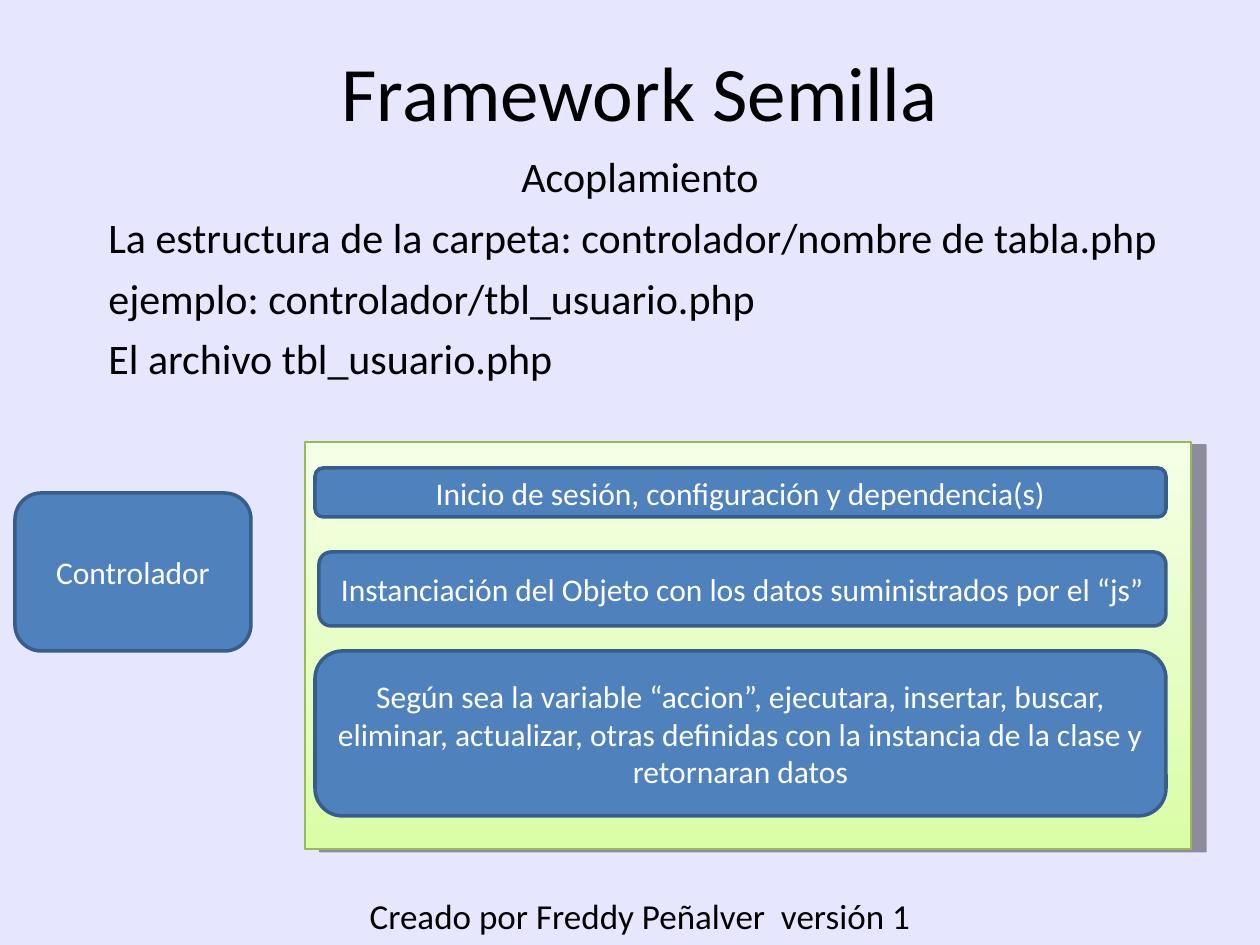
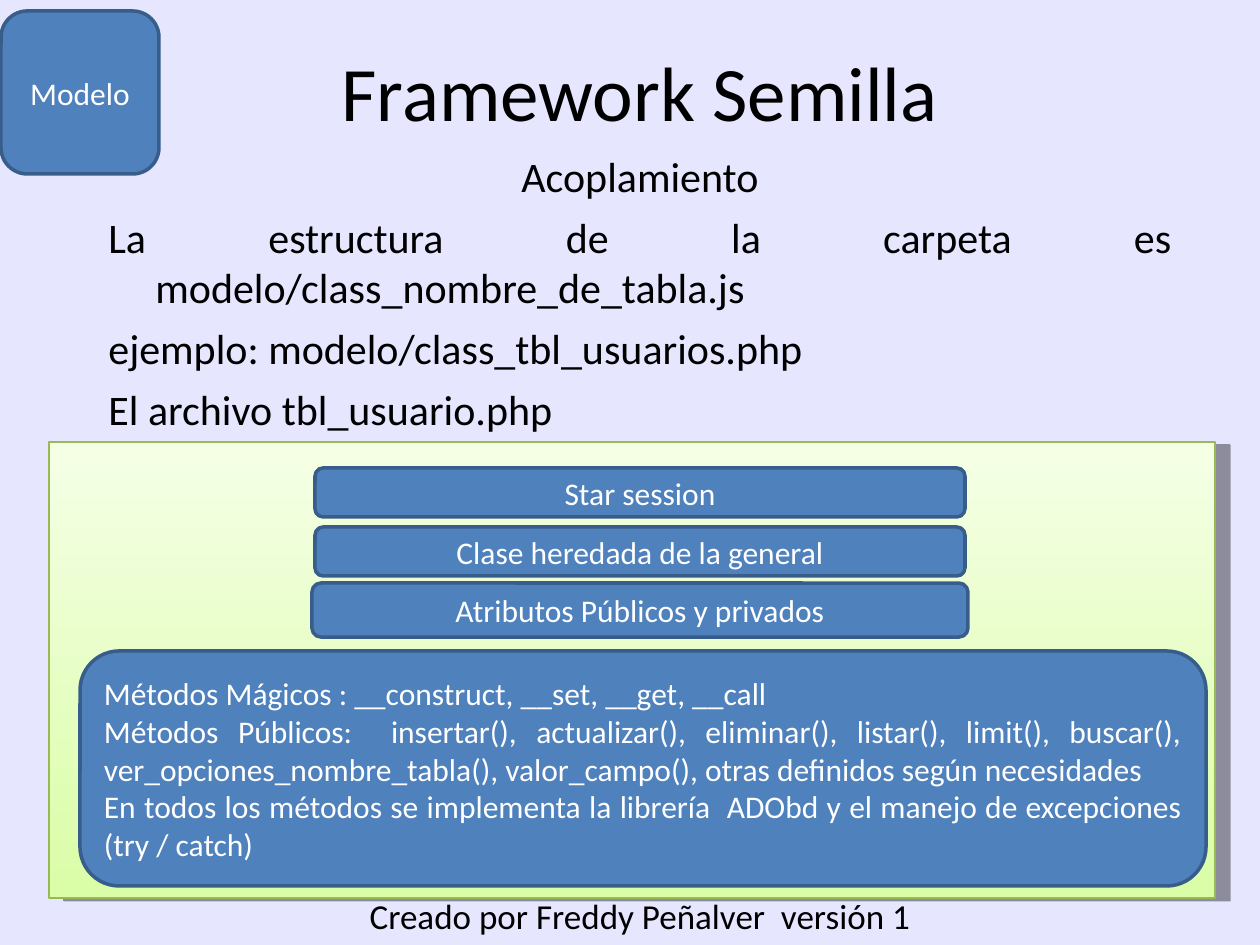
from lxml import etree
from pptx import Presentation
from pptx.dml.color import RGBColor
from pptx.enum.shapes import MSO_SHAPE
from pptx.enum.text import MSO_ANCHOR, PP_ALIGN
from pptx.oxml import parse_xml
from pptx.util import Emu, Pt

RECTANGLE = MSO_SHAPE.RECTANGLE
ROUNDED = MSO_SHAPE.ROUNDED_RECTANGLE
CENTER, JUSTIFY = PP_ALIGN.CENTER, PP_ALIGN.JUSTIFY
TOP, MIDDLE = MSO_ANCHOR.TOP, MSO_ANCHOR.MIDDLE

LAVENDER = RGBColor(0xE6, 0xE6, 0xFF)
PALE_GREEN = RGBColor(0xF5, 0xFF, 0xE6)
LIME = RGBColor(0xDA, 0xFD, 0xA7)
GREEN = RGBColor(0x98, 0xB9, 0x54)
BLUE = RGBColor(0x4F, 0x81, 0xBD)
DARK_BLUE = RGBColor(0x38, 0x5D, 0x8A)
BLACK = RGBColor(0x00, 0x00, 0x00)
WHITE = RGBColor(0xFF, 0xFF, 0xFF)

FONT = "Calibri"
PX = 914400 / 126
HANGING = 47
SHADOW = (
    '<a:outerShdw xmlns:a="http://schemas.openxmlformats.org/drawingml/2006/main"'
    ' blurRad="0" dist="110490" dir="660000" algn="tl" rotWithShape="0">'
    '<a:srgbClr val="000000"><a:alpha val="38000"/></a:srgbClr></a:outerShdw>'
)


def place(*lengths):
    return [Emu(round(length * PX)) for length in lengths]


def write(shape, text, size=18, color=WHITE, align=CENTER, anchor=MIDDLE,
          space_before=0, hanging=0):
    """Put each line of text in its own paragraph."""
    frame = shape.text_frame
    frame.word_wrap = True
    frame.vertical_anchor = anchor
    for index, line in enumerate(text.split("\n")):
        paragraph = frame.paragraphs[0] if index == 0 else frame.add_paragraph()
        paragraph.alignment = align
        paragraph.space_before = Pt(space_before)
        if hanging:
            indent = place(hanging)[0]
            properties = paragraph._p.get_or_add_pPr()
            properties.set("marL", str(indent))
            properties.set("indent", str(-indent))
        run = paragraph.add_run()
        run.text = line
        run.font.name = FONT
        run.font.size = Pt(size)
        run.font.color.rgb = color


# Panel, body lines and boxes (left, top, width, height, alignment, text) per slide
SLIDES = [
    {
        "panel": (305, 442, 886, 407),
        "body": "Acoplamiento\n"
                "La estructura de la carpeta: controlador/nombre de tabla.php\n"
                "ejemplo: controlador/tbl_usuario.php\n"
                "El archivo tbl_usuario.php",
        "boxes": [
            (315, 468, 851, 49, CENTER, "Inicio de sesión, configuración y dependencia(s)"),
            (319, 552, 847, 74, CENTER,
             "Instanciación del Objeto con los datos suministrados por el “js”"),
            (315, 651, 851, 165, CENTER,
             "Según sea la variable “accion”, ejecutara, insertar, buscar, eliminar, "
             "actualizar, otras definidas con la instancia de la clase y retornaran datos"),
            (15, 493, 236, 158, CENTER, "Controlador"),
        ],
    },
    {
        "panel": (49, 442, 1166, 456),
        "body": "Acoplamiento\n"
                "La estructura de la carpeta es modelo/class_nombre_de_tabla.js\n"
                "ejemplo: modelo/class_tbl_usuarios.php\n"
                "El archivo tbl_usuario.php",
        "boxes": [
            (315, 468, 650, 49, CENTER, "Star session"),
            (315, 527, 650, 49, CENTER, "Clase heredada de la general"),
            (312, 583, 656, 54, CENTER, "Atributos Públicos y privados"),
            (80, 651, 1126, 235, JUSTIFY,
             "Métodos Mágicos : __construct, __set, __get, __call\n"
             "Métodos Públicos:  insertar(), actualizar(), eliminar(), listar(), limit(), "
             "buscar(), ver_opciones_nombre_tabla(), valor_campo(), otras definidos según "
             "necesidades\n"
             "En todos los métodos se implementa la librería  ADObd y el manejo de "
             "excepciones (try / catch)"),
            (1, 11, 158, 163, CENTER, "Modelo"),
        ],
    },
]

presentation = Presentation()
presentation.slide_width, presentation.slide_height = place(1260, 945)

for content in SLIDES:
    slide = presentation.slides.add_slide(presentation.slide_layouts[6])
    background = slide.background.fill
    background.solid()
    background.fore_color.rgb = LAVENDER

    # Green panel with its offset shadow
    panel = slide.shapes.add_shape(RECTANGLE, *place(*content["panel"]))
    panel.fill.gradient()
    panel.fill.gradient_angle = 270
    for stop, position, color in zip(panel.fill.gradient_stops, (0, 1), (PALE_GREEN, LIME)):
        stop.position = position
        stop.color.rgb = color
    panel.line.color.rgb = GREEN
    panel.line.width = Pt(0.75)
    panel.shadow.inherit = False
    panel._element.spPr.find("{*}effectLst").append(parse_xml(SHADOW))

    # Body: centred subtitle over justified lines
    body = slide.shapes.add_textbox(*place(96, 144, 1088, 711))
    write(body, content["body"], size=24, color=BLACK, align=JUSTIFY, anchor=TOP,
          space_before=6, hanging=HANGING)
    subtitle = body.text_frame.paragraphs[0]
    subtitle.alignment = CENTER
    subtitle.space_before = Pt(8)

    # Title and footer
    title = slide.shapes.add_textbox(*place(49, 29, 1182, 123))
    write(title, "Framework Semilla", size=44, color=BLACK)
    footer = slide.shapes.add_textbox(*place(49, 886, 1182, 59))
    write(footer, "Creado por Freddy Peñalver  versión 1", size=20, color=BLACK)

    # Blue boxes
    for left, top, width, height, align, text in content["boxes"]:
        box = slide.shapes.add_shape(ROUNDED, *place(left, top, width, height))
        box.shadow.inherit = False
        box.fill.solid()
        box.fill.fore_color.rgb = BLUE
        box.line.color.rgb = DARK_BLUE
        box.line.width = Pt(2)
        write(box, text, align=align)

presentation.save("out.pptx")
